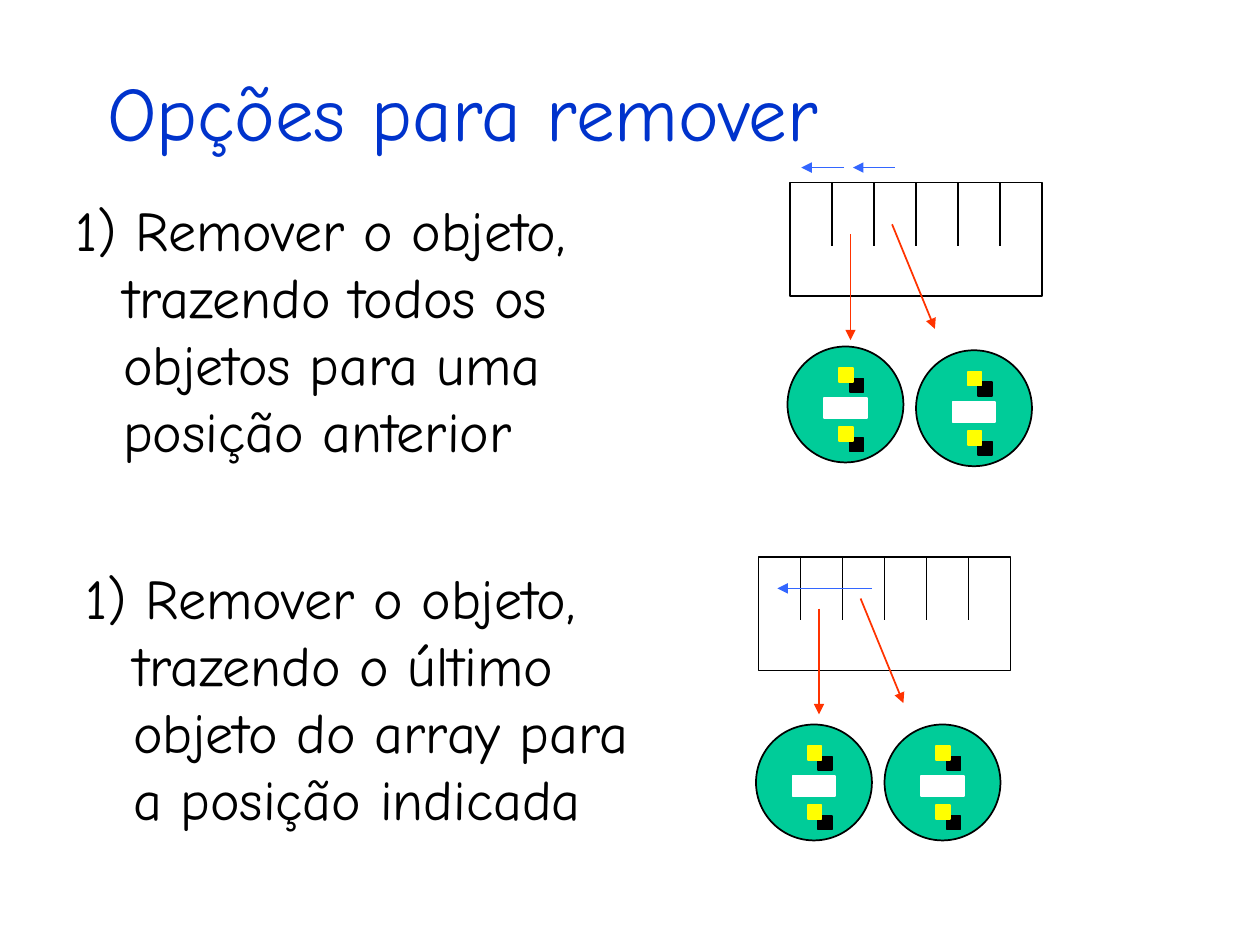
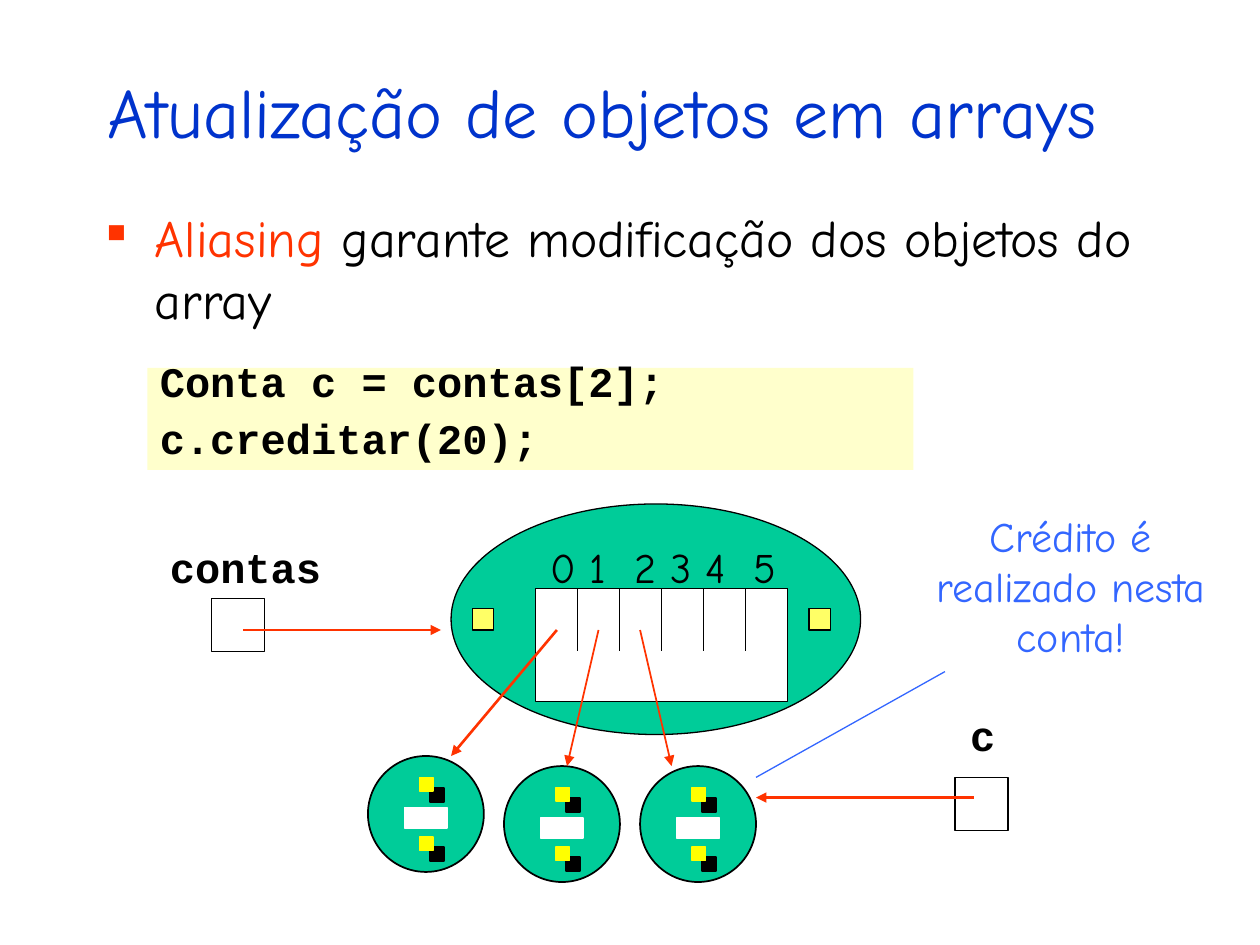
from lxml.etree import SubElement
from pptx import Presentation
from pptx.dml.color import RGBColor
from pptx.enum.shapes import MSO_CONNECTOR, MSO_SHAPE
from pptx.enum.text import MSO_ANCHOR, PP_ALIGN
from pptx.oxml.ns import qn
from pptx.util import Inches, Pt

BLACK = RGBColor(0x00, 0x00, 0x00)
WHITE = RGBColor(0xFF, 0xFF, 0xFF)
TITLE_BLUE = RGBColor(0x00, 0x33, 0xCC)
BLUE = RGBColor(0x33, 0x66, 0xFF)
RED = RGBColor(0xFF, 0x33, 0x00)
GREEN = RGBColor(0x00, 0xCC, 0x99)
YELLOW = RGBColor(0xFF, 0xFF, 0x00)
PALE_YELLOW = RGBColor(0xFF, 0xFF, 0x66)
CREAM = RGBColor(0xFF, 0xFF, 0xCC)
HAND = "Comic Neue"
CODE = "Courier New"
OVAL = MSO_SHAPE.OVAL
RECT = MSO_SHAPE.RECTANGLE
CELL = 1 / 3


def style_font(font, size, name, color, bold=False):
    font.size = Pt(size)
    font.name = name
    font.color.rgb = color
    font.bold = bold


def add_text(page, left, top, width, height, lines, size, name=HAND, color=BLACK):
    box = page.shapes.add_textbox(
        Inches(left), Inches(top), Inches(width), Inches(height))
    frame = box.text_frame
    frame.word_wrap = True
    for index, line in enumerate(lines):
        para = frame.paragraphs[0] if index == 0 else frame.add_paragraph()
        para.text = line
        # Tabs and bullets are inserted before the default run properties
        style_font(para.font, size, name, color, bold=name == CODE)
    return box


deck = Presentation()
deck.slide_width, deck.slide_height = Inches(10), Inches(7.5)

# Titles
pages = []
for title_text, title_size in (("Opções para remover", 44),
                               ("Atualização de objetos em arrays", 40)):
    page = deck.slides.add_slide(deck.slide_layouts[5])
    title = page.shapes.title
    title.left, title.top = Inches(0.75), Inches(0.25)
    title.width, title.height = Inches(8.5), Inches(1.25)
    title.text_frame.text = title_text
    title.text_frame.word_wrap = True
    title.text_frame.vertical_anchor = MSO_ANCHOR.MIDDLE
    para = title.text_frame.paragraphs[0]
    para.alignment = PP_ALIGN.LEFT
    style_font(para.font, title_size, HAND, TITLE_BLUE)
    pages.append(page)
removal, update = pages

# Array object and variables: page, kind, left, top, width, height, fill, line, weight
shapes = [
    (update, OVAL, 3.58, 4, 3.25, 1.83, GREEN, BLACK, 0.75),
    (update, RECT, 3.75, 4.83, 0.17, 0.17, PALE_YELLOW, BLACK, 0.75),
    (update, RECT, 6.42, 4.83, 0.17, 0.17, PALE_YELLOW, BLACK, 0.75),
    (update, RECT, 1.68, 4.75, 0.42, 0.42, WHITE, BLACK, 0.75),
    (update, RECT, 7.58, 6.17, 0.42, 0.42, WHITE, BLACK, 0.75),
]
# Lines: page, start x, start y, end x, end y, colour, weight, arrow
lines = []

# Arrays with their cell dividers
for page, left, top, dividers in ((removal, 6.27, 1.45, 6),
                                  (removal, 6.02, 4.42, 5),
                                  (update, 4.25, 4.67, 6)):
    shapes.append((page, RECT, left, top, 2, 0.9, WHITE, BLACK, 0.75))
    for number in range(1, dividers + 1):
        x = left + number * CELL
        lines.append((page, x, top, x, top + 0.5, BLACK, 0.75, False))

# Account objects
for page, left, top in ((removal, 6.25, 2.75), (removal, 7.27, 2.78),
                        (removal, 6, 5.75), (removal, 7.02, 5.75),
                        (update, 2.92, 6), (update, 4, 6.08), (update, 5.08, 6.08)):
    shapes += [
        (page, OVAL, left, top, 0.92, 0.92, GREEN, BLACK, 1),
        (page, RECT, left + 0.41, top + 0.17, 0.11, 0.11, YELLOW, YELLOW, 1),
        (page, RECT, left + 0.41, top + 0.64, 0.11, 0.11, YELLOW, YELLOW, 1),
        (page, RECT, left + 0.29, top + 0.41, 0.34, 0.16, WHITE, WHITE, 1),
    ]

for page, kind, left, top, width, height, fill, line, weight in shapes:
    shape = page.shapes.add_shape(
        kind, Inches(left), Inches(top), Inches(width), Inches(height))
    shape.shadow.inherit = False
    shape.fill.solid()
    shape.fill.fore_color.rgb = fill
    shape.line.color.rgb = line
    shape.line.width = Pt(weight)
    if fill == YELLOW:  # hard black shadow, down and to the right
        effects = shape._element.spPr.find(qn("a:effectLst"))
        shadow = SubElement(effects, qn("a:outerShdw"), dist=str(Pt(8.5)),
                            dir="2700000", algn="ctr", rotWithShape="0")
        SubElement(shadow, qn("a:srgbClr"), val=str(BLACK))

# References (red), moves and callout (blue)
lines += [
    (removal, 6.75, 1.86, 6.75, 2.7, RED, 1, True),
    (removal, 7.08, 1.78, 7.42, 2.61, RED, 1, True),
    (removal, 6.5, 4.83, 6.5, 5.67, RED, 1, True),
    (removal, 6.83, 4.75, 7.17, 5.58, RED, 1, True),
    (removal, 7.1, 1.33, 6.77, 1.33, BLUE, 0.75, True),
    (removal, 6.7, 1.33, 6.36, 1.33, BLUE, 0.75, True),
    (removal, 6.92, 4.67, 6.17, 4.67, BLUE, 0.75, True),
    (update, 1.93, 5, 3.5, 5, RED, 1.5, True),
    (update, 4.42, 5, 3.58, 6, RED, 1.5, True),
    (update, 4.75, 5, 4.5, 6.08, RED, 1, True),
    (update, 5.08, 5, 5.33, 6.08, RED, 1, True),
    (update, 7.73, 6.33, 6, 6.33, RED, 1.5, True),
    (update, 6, 6.17, 7.5, 5.33, BLUE, 0.75, False),
]
for page, x1, y1, x2, y2, color, weight, arrow in lines:
    link = page.shapes.add_connector(
        MSO_CONNECTOR.STRAIGHT, Inches(x1), Inches(y1), Inches(x2), Inches(y2))
    link.line.color.rgb = color
    link.line.width = Pt(weight)
    if arrow:
        SubElement(link.line._get_or_add_ln(), qn("a:tailEnd"), type="triangle")
    SubElement(link._element.spPr, qn("a:effectLst"))

# Removal options, with hanging indent
options = [
    add_text(removal, 0.5, 1.5, 4.67, 2.5,
             ["1) Remover o objeto, trazendo todos os objetos para uma posição anterior"], 32),
    add_text(removal, 0.58, 4.42, 4.75, 2.75,
             ["1) Remover o objeto, trazendo o último objeto do array para a posição indicada"], 32),
]
for option in options:
    properties = option.text_frame.paragraphs[0]._p.get_or_add_pPr()
    properties.set("marL", str(Inches(0.38)))
    properties.set("indent", str(Inches(-0.38)))

# Aliasing statement with a square bullet
statement = add_text(update, 0.75, 1.58, 8.5, 1.17, [""], 29.6)
para = statement.text_frame.paragraphs[0]
properties = para._p.get_or_add_pPr()
properties.set("marL", str(Inches(0.38)))
properties.set("indent", str(Inches(-0.38)))
bullet_color = properties.makeelement(qn("a:buClr"))
SubElement(bullet_color, qn("a:srgbClr"), val=str(RED))
bullet_size = properties.makeelement(qn("a:buSzPct"), val="50000")
bullet = properties.makeelement(qn("a:buChar"), char="■")
for position, element in enumerate((bullet_color, bullet_size, bullet)):
    properties.insert(position, element)
for words, color in (("Aliasing", RED),
                     (" garante modificação dos objetos do array", BLACK)):
    span = para.add_run()
    span.text = words
    style_font(span.font, 29.6, HAND, color)

# Code
code = add_text(update, 1.17, 2.92, 6.08, 0.81,
                ["Conta c = contas[2];", "c.creditar(20);"], 24, CODE)
code.fill.solid()
code.fill.fore_color.rgb = CREAM
for para in code.text_frame.paragraphs:
    para.line_spacing = Pt(18)
code.text_frame.paragraphs[1].space_before = Pt(15)

# Array indices on tab stops
indices = add_text(update, 4.27, 4.25, 2.11, 0.5, ["0\t1\t2\t3\t4\t5"], 24)
tabs = indices._element.makeelement(qn("a:tabLst"))
for stop in (0.31, 0.67, 0.95, 1.23, 1.61):
    SubElement(tabs, qn("a:tab"), pos=str(Inches(stop)), algn="l")
indices.text_frame.paragraphs[0]._p.get_or_add_pPr().insert(0, tabs)

# Variable names and callout
add_text(update, 1.25, 4.25, 1.5, 0.5, ["contas"], 24, CODE)
add_text(update, 7.6, 5.58, 0.45, 0.5, ["c"], 24, CODE)
callout = add_text(update, 7.25, 4, 2.5, 1.3,
                   ["Crédito é realizado nesta conta!"], 24, HAND, BLUE)
callout.text_frame.paragraphs[0].alignment = PP_ALIGN.CENTER

deck.save("out.pptx")
